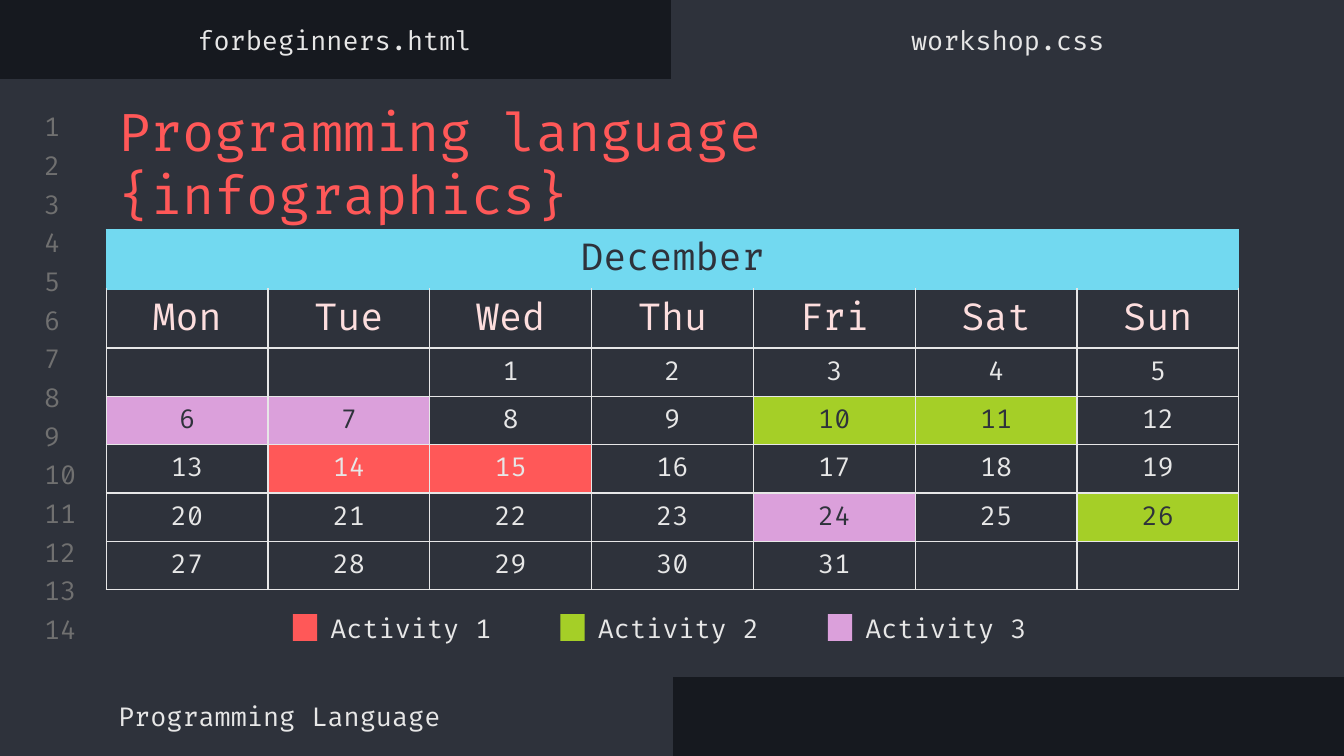
from lxml import etree
from pptx import Presentation
from pptx import util as u
from pptx.dml.color import RGBColor
from pptx.enum import shapes, text
from pptx.oxml.ns import qn

FONT = "Fira Code"
DARK, PANEL, LIGHT, GREY = "16191F", "2E323B", "E7E7E7", "707070"
RED, GREEN, PURPLE, CYAN, PINK = "FF5858", "A5CF27", "DBA0DB", "72D9F0", "FDDEDE"
ACTIVITIES = {"Activity 1": RED, "Activity 2": GREEN, "Activity 3": PURPLE}
ACTIVITY_DAYS = {6: PURPLE, 7: PURPLE, 10: GREEN, 11: GREEN,
                 14: RED, 15: RED, 24: PURPLE, 26: GREEN}
WEEKDAYS = ["Mon", "Tue", "Wed", "Thu", "Fri", "Sat", "Sun"]
FIRST_COL, LAST_DAY, WEEKS = 2, 31, 5


def rgb(color):
    return RGBColor.from_string(color)


def place(sp, x, y, w, h):
    sp.left, sp.top = u.Inches(x), u.Inches(y)
    sp.width, sp.height = u.Inches(w), u.Inches(h)


def write(tf, content, size, color, align=text.PP_ALIGN.LEFT):
    tf.text = content
    p = tf.paragraphs[0]
    p.alignment = align
    for r in p.runs:
        r.font.name, r.font.size = FONT, u.Pt(size)
        r.font.color.rgb = rgb(color)


def set_frame(tf, anchor):
    tf.word_wrap = True
    tf.auto_size = text.MSO_AUTO_SIZE.NONE
    tf.vertical_anchor = anchor
    tf.margin_left = tf.margin_right = u.Inches(0.1)
    tf.margin_top = tf.margin_bottom = u.Inches(0.1)


def add_label(s, content, x, y, w, h, color=LIGHT, align=text.PP_ALIGN.LEFT):
    tf = s.shapes.add_textbox(*map(u.Inches, (x, y, w, h))).text_frame
    set_frame(tf, text.MSO_ANCHOR.MIDDLE)
    write(tf, content, 14, color, align)


def add_block(s, x, y, w, h, color, outlined=False):
    sp = s.shapes.add_shape(shapes.MSO_SHAPE.RECTANGLE,
                            *map(u.Inches, (x, y, w, h)))
    sp.shadow.inherit = False
    sp.fill.solid()
    sp.fill.fore_color.rgb = rgb(color)
    if outlined:
        sp.line.color.rgb = rgb(color)
        sp.line.width = u.Pt(0.75)
    else:
        sp.line.fill.background()


def add_title(s, content):
    title = s.shapes.title
    # Bring the title in front of the panels
    title.element.getparent().append(title.element)
    place(title, 0.78, 0.64, 8.44, 0.63)
    set_frame(title.text_frame, text.MSO_ANCHOR.TOP)
    write(title.text_frame, content, 28, RED)


def set_borders(cell, color, top):
    tc_pr = cell._tc.get_or_add_tcPr()
    for side in "LRTB":
        ln = etree.SubElement(tc_pr, qn(f"a:ln{side}"), w=str(u.Pt(0.75)))
        fill = etree.SubElement(ln, qn("a:solidFill"))
        etree.SubElement(fill, qn("a:srgbClr"), val=top if side == "T" else color)


def fill_cell(cell, content, size, color, fill=None, border=LIGHT, top=LIGHT):
    cell.margin_left = cell.margin_right = u.Inches(0.1)
    cell.margin_top = cell.margin_bottom = 0
    cell.vertical_anchor = text.MSO_ANCHOR.MIDDLE
    set_borders(cell, border, top)
    if fill:
        cell.fill.solid()
        cell.fill.fore_color.rgb = rgb(fill)
    else:
        cell.fill.background()
    if content:
        write(cell.text_frame, content, size, color, text.PP_ALIGN.CENTER)


def add_calendar(s):
    cols = len(WEEKDAYS)
    table = s.shapes.add_table(WEEKS + 2, cols, *map(
        u.Inches, (0.79, 1.71, 8.43, 2.68))).table
    table.first_row = table.horz_banding = False
    for i, row in enumerate(table.rows):
        row.height = u.Inches(0.44 if i < 2 else 0.36)

    # Month and weekday headings
    for col, weekday in enumerate(WEEKDAYS):
        fill_cell(table.cell(0, col), "" if col else "December", 20, PANEL,
                  CYAN, CYAN, CYAN)
        fill_cell(table.cell(1, col), weekday, 20, PINK, top=CYAN)
    table.cell(0, 0).merge(table.cell(0, cols - 1))

    # Days, highlighted by activity
    for i in range(WEEKS * cols):
        day = i - FIRST_COL + 1
        fill = ACTIVITY_DAYS.get(day)
        fill_cell(table.cell(2 + i // cols, i % cols),
                  str(day) if 1 <= day <= LAST_DAY else "", 14,
                  PANEL if fill in (GREEN, PURPLE) else LIGHT, fill)


def main():
    prs = Presentation()
    # 16:9 page
    prs.slide_width, prs.slide_height = u.Inches(10), u.Inches(10 * 9 / 16)
    s = prs.slides.add_slide(prs.slide_layouts[5])
    s.background.fill.solid()
    s.background.fill.fore_color.rgb = rgb(DARK)

    # Editor window: right tab, bottom tab, body
    for box in [(5, 0, 5, 0.65), (0, 4.98, 5, 0.65), (0, 0.59, 10, 4.44)]:
        add_block(s, *box, PANEL, outlined=True)

    # Line numbers
    for i in range(14):
        add_label(s, str(i + 1), 0.23, 0.82 + i * 3.74 / 13, 0.47, 0.24, GREY)

    # Title and tab names
    add_title(s, "Programming language {infographics}")
    add_label(s, "Programming Language", 0.78, 5.13, 5.32, 0.39)
    for x, name in [(-0.01, "forbeginners.html"), (5, "workshop.css")]:
        add_label(s, name, x, 0.1, 5, 0.39, align=text.PP_ALIGN.CENTER)

    add_calendar(s)

    # Legend
    for i, (name, color) in enumerate(ACTIVITIES.items()):
        x = 2.18 + i * 1.99
        add_label(s, name, x + 0.18, 4.57, 1.48, 0.2)
        add_block(s, x, 4.57, 0.18, 0.2, color)

    prs.save("out.pptx")


if __name__ == "__main__":
    main()
